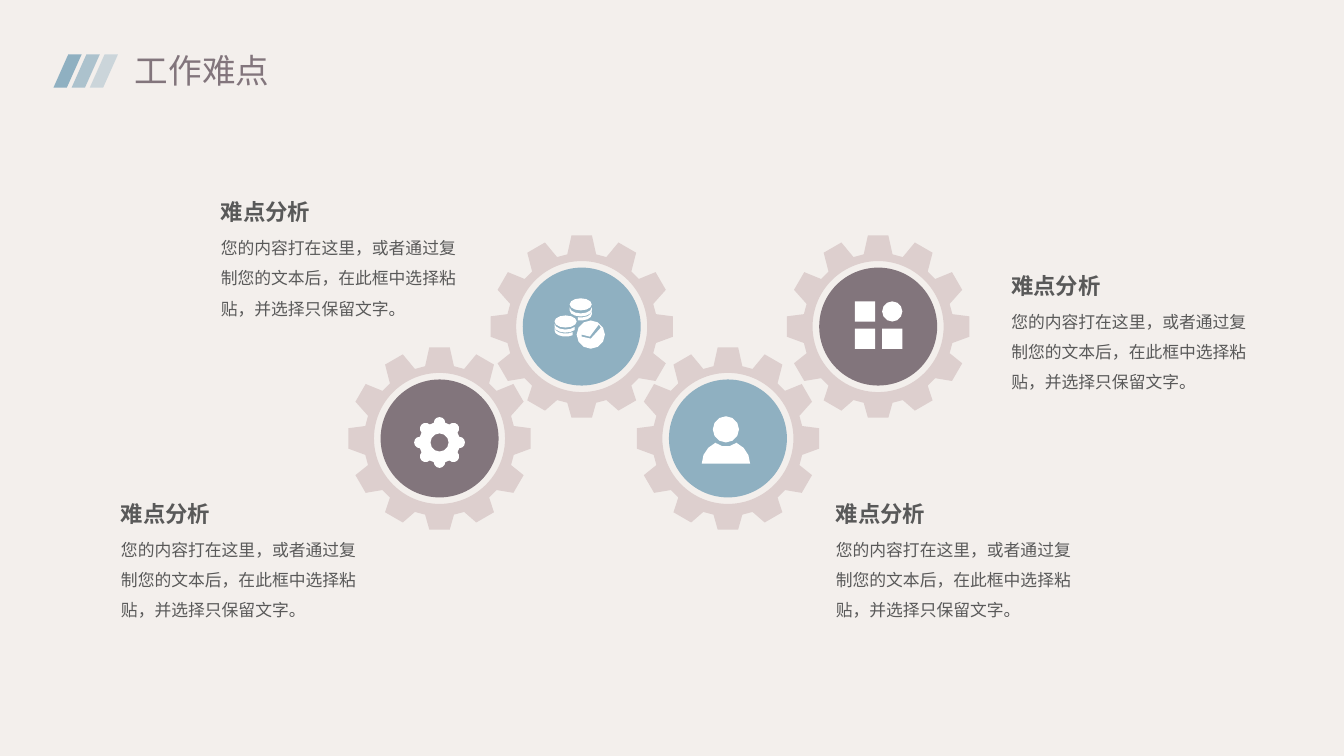
import math

from lxml import etree
from pptx import Presentation, util as u
from pptx.dml.color import RGBColor
from pptx.enum import shapes, text
from pptx.oxml.ns import qn

FONT = "Noto Sans CJK SC"
COLORS = {
    "background": "F3EFEC",
    "gear": "DDCFCE",
    "mauve": "82757C",
    "blue": "8FB0C1",
    "text": "595959",
    "icon": "FFFFFF",
}
TITLE = "工作难点"
HEADING = "难点分析"
BODY = "您的内容打在这里，或者通过复制您的文本后，在此框中选择粘贴，并选择只保留文字。"


def color(name):
    return RGBColor.from_string(COLORS[name])


def paint(shape, fill, opacity=100):
    shape.shadow.inherit = False
    shape.line.fill.background()
    shape.fill.solid()
    shape.fill.fore_color.rgb = color(fill)
    if opacity < 100:
        tint = shape.fill._xPr.find(qn("a:solidFill"))[0]
        etree.SubElement(tint, qn("a:alpha")).set("val", str(opacity * 1000))


def polar(radius, degrees):
    angle = math.radians(degrees)
    return radius * math.cos(angle), radius * math.sin(angle)


def arc(x, y, radius_x, radius_y, start=0, end=360):
    """Points along an ellipse, from one angle to another, clockwise if rising."""
    steps = math.ceil(abs(end - start) / 30)
    angles = [math.radians(start + (end - start) * i / steps) for i in range(steps + 1)]
    return [(x + radius_x * math.cos(a), y + radius_y * math.sin(a)) for a in angles]


def circle(x, y, radius):
    return arc(x, y, radius, radius)[:-1]


def add_outline(slide, center, contours, fill):
    """One freeform whose contours are given relative to the center."""
    placed = [
        [(u.Inches(center[0] + x), u.Inches(center[1] + y)) for x, y in contour]
        for contour in contours
    ]
    builder = slide.shapes.build_freeform(*placed[0][0], scale=1.0)
    for index, points in enumerate(placed):
        if index:
            builder.move_to(*points[0])
        builder.add_line_segments(points[1:], close=True)
    shape = builder.convert_to_shape()
    paint(shape, fill)
    return shape


def cut_hole(shape, x, y, radius):
    """Cut a round hole at a place on the slide out of a freeform."""
    outline = shape._element.find(".//" + qn("a:path"))
    size = str(u.Inches(radius))
    start = etree.SubElement(etree.SubElement(outline, qn("a:moveTo")), qn("a:pt"))
    start.set("x", str(u.Inches(x - radius) - shape.left))
    start.set("y", str(u.Inches(y) - shape.top))
    for angle in (180, 0):
        half = etree.SubElement(outline, qn("a:arcTo"))
        half.set("wR", size)
        half.set("hR", size)
        half.set("stAng", str(angle * 60000))
        half.set("swAng", str(-180 * 60000))
    etree.SubElement(outline, qn("a:close"))


def gear_rim():
    rim = []
    for tooth in range(0, 360, 30):
        for radius, turn, drop in [
            (0.75, -11, 0.02), (0.91, -6.4, 0), (0.91, 6.4, 0), (0.75, 11, 0.02)
        ]:
            x, y = polar(radius, tooth + turn)
            rim.append((x, y + drop))
    return rim


def cog_icon():
    rim = []
    for tooth in range(0, 360, 45):
        x, y = polar(0.195, tooth)
        rim += arc(x, y + 0.04, 0.057, 0.057, tooth - 90, tooth + 90)
    return [rim]


def coin_edge(x, y, start, end):
    """Crescent below a coin, 0.03 thick."""
    return arc(x, y, 0.11, 0.06, start, end) + arc(x, y + 0.03, 0.11, 0.06, end, start)


def coins_icon():
    check = [(0, 0.08), (0, 0.1), (0.09, 0.12), (0.19, 0.01), (0.17, -0.02), (0.08, 0.1)]
    return [
        arc(-0.01, -0.22, 0.11, 0.06),
        coin_edge(-0.01, -0.19, 0, 180),
        coin_edge(-0.01, -0.15, 0, 105),
        arc(-0.16, -0.05, 0.11, 0.06),
        coin_edge(-0.16, -0.03, 35, 180),
        coin_edge(-0.16, 0.01, 50, 180),
        circle(0.09, 0.08, 0.14),
        check,
    ]


def person_icon():
    shoulders = (
        arc(-0.02, 0.25, 0.24, 0.23, 180, 245)
        + arc(-0.02, -0.09, 0.17, 0.17, 128, 52)
        + arc(-0.02, 0.25, 0.24, 0.23, 295, 360)
    )
    return [circle(-0.02, -0.09, 0.13), shoulders]


def tiles_icon():
    corners = [(0, 0), (0.2, 0), (0.2, 0.2), (0, 0.2)]
    tiles = [
        [(left + x, top + y) for x, y in corners]
        for left, top in [(-0.23, -0.25), (-0.23, 0.02), (0.04, 0.02)]
    ]
    return tiles + [circle(0.14, -0.15, 0.1)]


def add_gear(slide, center, fill, icon):
    """A gear ring around a disc; returns the icon on the disc."""
    ring = add_outline(slide, center, [gear_rim()], "gear")
    cut_hole(ring, *center, 0.65)
    size = 1.17
    disc = slide.shapes.add_shape(
        shapes.MSO_SHAPE.OVAL,
        u.Inches(center[0] - size / 2), u.Inches(center[1] - size / 2),
        u.Inches(size), u.Inches(size),
    )
    paint(disc, fill)
    return add_outline(slide, center, icon, "icon")


def add_text(slide, box, content, size, fill="text", bold=False, spacing=None,
             inset=(0, 0), wrap=True):
    shape = slide.shapes.add_textbox(*map(u.Inches, box))
    frame = shape.text_frame
    frame.word_wrap = wrap
    frame.auto_size = text.MSO_AUTO_SIZE.SHAPE_TO_FIT_TEXT
    frame.margin_left = frame.margin_right = u.Inches(inset[0])
    frame.margin_top = frame.margin_bottom = u.Inches(inset[1])
    paragraph = frame.paragraphs[0]
    paragraph.text = content
    if spacing:
        paragraph.line_spacing = spacing
    font = paragraph.font
    font.size = u.Pt(size)
    font.bold = bold
    font.color.rgb = color(fill)
    font.name = FONT
    properties = paragraph._p.pPr.find(qn("a:defRPr"))
    etree.SubElement(properties, qn("a:ea")).set("typeface", FONT)


def add_note(slide, left, top):
    add_text(slide, (left, top, 1.09, 0.27), HEADING, 16, bold=True)
    add_text(slide, (left, top + 0.29, 2.42, 0.91), BODY, 12, spacing=1.5)


def add_title(slide):
    stripes = slide.shapes.add_group_shape()
    for index, opacity in enumerate([100, 70, 40]):
        stripe = stripes.shapes.add_shape(
            shapes.MSO_SHAPE.PARALLELOGRAM,
            u.Inches(0.53 + 0.18 * index), u.Inches(0.54), u.Inches(0.28), u.Inches(0.33),
        )
        stripe.adjustments[0] = 0.525
        paint(stripe, "blue", opacity)
    add_text(slide, (1.24, 0.45, 1.55, 0.5), TITLE, 24, "mauve",
             inset=(0.1, 0.05), wrap=False)


def main():
    presentation = Presentation()
    presentation.slide_width = u.Inches(13.33)
    presentation.slide_height = u.Inches(7.5)
    slide = presentation.slides.add_slide(presentation.slide_layouts[6])
    slide.background.fill.solid()
    slide.background.fill.fore_color.rgb = color("background")

    cog = add_gear(slide, (4.36, 4.35), "mauve", cog_icon())
    cut_hole(cog, 4.36, 4.39, 0.09)
    add_gear(slide, (5.77, 3.24), "blue", coins_icon())
    add_gear(slide, (7.22, 4.35), "blue", person_icon())
    add_gear(slide, (8.71, 3.24), "mauve", tiles_icon())
    for left, top in [(1.2, 4.96), (2.19, 1.97), (8.29, 4.96), (10.03, 2.7)]:
        add_note(slide, left, top)
    add_title(slide)
    presentation.save("out.pptx")


if __name__ == "__main__":
    main()
